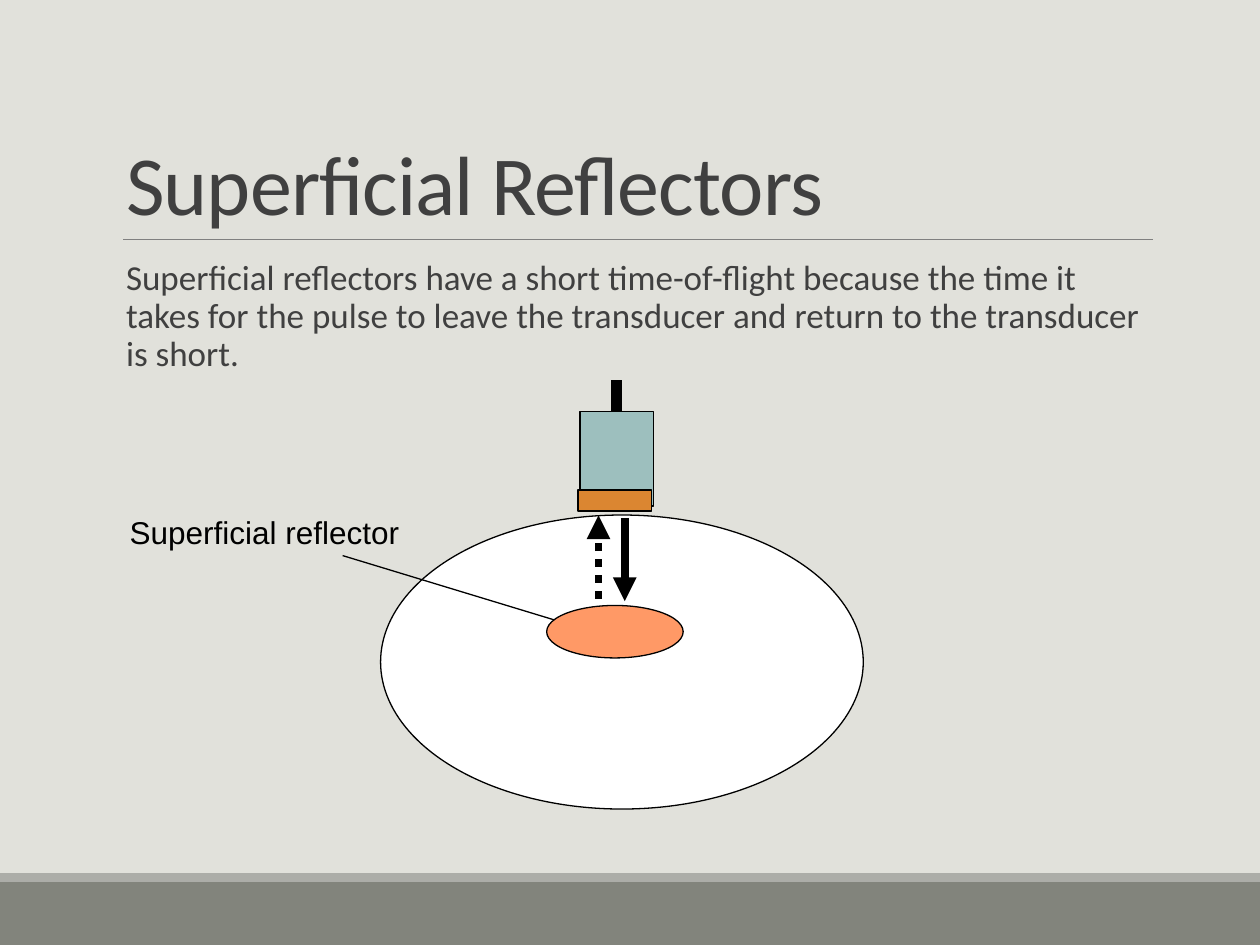
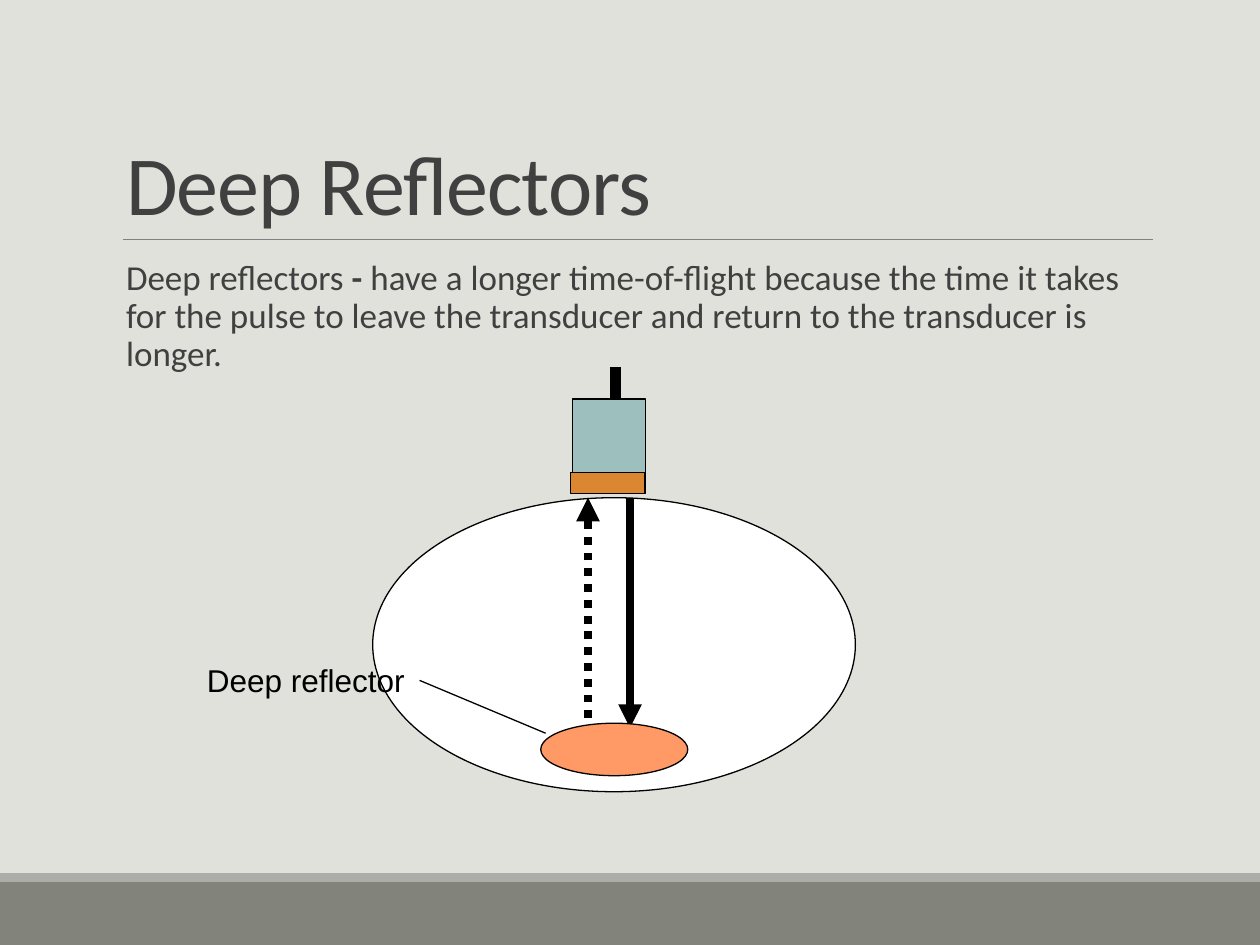
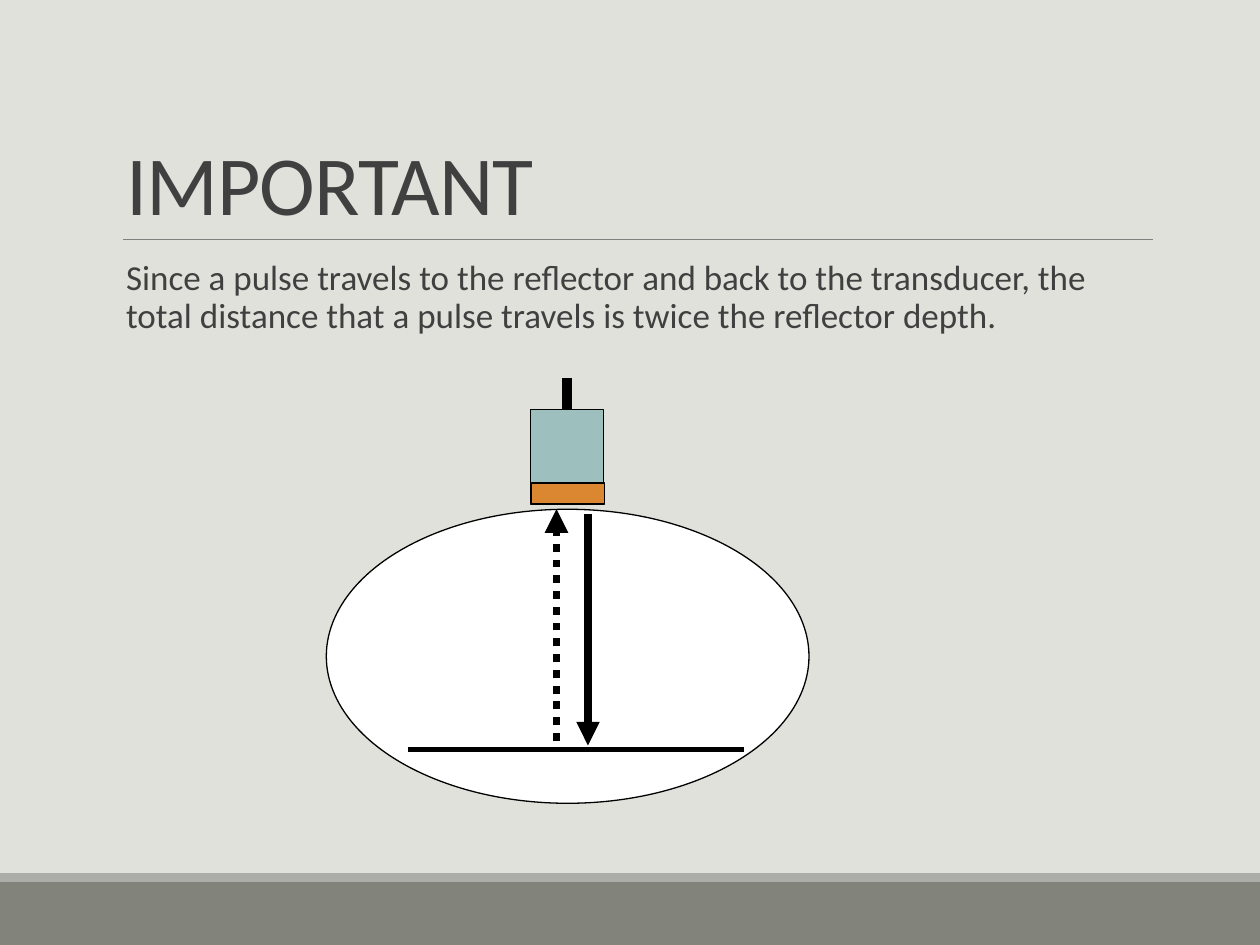
"""Build three slides on ultrasound reflectors and time-of-flight."""
from dataclasses import dataclass

import pptx
import pptx.dml.color
import pptx.enum.dml
import pptx.enum.shapes
import pptx.enum.text
import pptx.oxml.ns
import pptx.util
from lxml import etree

Pt = pptx.util.Pt
Shapes = pptx.enum.shapes.MSO_SHAPE
Anchor = pptx.enum.text.MSO_ANCHOR
AutoSize = pptx.enum.text.MSO_AUTO_SIZE


@dataclass(frozen=True)
class Theme:
    """Colours, fonts and sizes of the presentation."""
    background: str = "E1E1DB"
    band: str = "82847C"
    band_edge: str = "ACADA8"
    rule: str = "808080"
    text: str = "404040"
    ink: str = "000000"
    body_outline: str = "FFFFFF"
    transducer: str = "9DBFBE"
    crystal: str = "DB8631"
    reflector: str = "FF9966"
    text_font: str = "Calibri"
    label_font: str = "Arial"
    title_size: float = 48
    body_size: float = 20
    label_size: float = 18
    thin: float = 0.75
    beam: float = 4.5
    cable: float = 6
    floor: float = 3


def colour(value):
    """Return a colour from its hexadecimal value."""
    return pptx.dml.color.RGBColor.from_string(value)


def write(paragraph, text, size, font, ink, bold=False, spacing=None):
    """Add a formatted run to a paragraph."""
    run = paragraph.add_run()
    run.text = text
    run.font.size = Pt(size)
    run.font.name = font
    run.font.bold = bold
    run.font.color.rgb = colour(ink)
    if spacing is not None:
        run.font._element.set("spc", str(int(spacing * 100)))


def place(shape, left, top, width, height):
    """Move and size a shape."""
    shape.left, shape.top, shape.width, shape.height = map(Pt, (left, top, width, height))


class Deck:
    """Hold the theme, the presentation and the current slide."""

    def __init__(self, theme):
        """Start an empty presentation with its shared background."""
        self.theme = theme
        self.presentation = pptx.Presentation()
        self.presentation.slide_width = Pt(720)
        self.presentation.slide_height = Pt(540)
        self.layout = self.presentation.slide_layouts[1]
        self.layout.background.fill.solid()
        self.layout.background.fill.fore_color.rgb = colour(theme.background)
        for placeholder in list(self.layout.placeholders):
            if placeholder.placeholder_format.idx >= 10:
                self.layout.shapes.element.remove(placeholder.element)
        self.slide = None

    def add_slide(self, title, body):
        """Add a slide with its title and a body made of (text, bold) runs."""
        self.slide = self.presentation.slides.add_slide(self.layout)
        if len(self.presentation.slides) == 1:
            self.furnish_layout()
        self.title(title)
        self.body(body)

    def furnish_layout(self):
        """Put the bands and the title rule on the layout."""
        theme = self.theme
        parts = [self.shape(Shapes.RECTANGLE, 0, 504, 720, 36, theme.band, outlined=False),
                 self.shape(Shapes.RECTANGLE, 0, 499, 720, 5, theme.band_edge, outlined=False),
                 self.line((70.5, 136.8), (659, 136.8), 0.5, ink=theme.rule)]
        for position, part in enumerate(parts, start=2):
            self.layout.shapes.element.insert(position, part._element)

    def title(self, text):
        """Fill the title placeholder."""
        theme = self.theme
        shape = self.slide.shapes.title
        place(shape, 64.8, 22.3, 594, 114.5)
        frame = shape.text_frame
        frame.auto_size = AutoSize.NONE
        frame.vertical_anchor = Anchor.BOTTOM
        paragraph = frame.paragraphs[0]
        paragraph.alignment = pptx.enum.text.PP_ALIGN.LEFT
        paragraph.line_spacing = 0.85
        write(paragraph, text, theme.title_size, theme.text_font, theme.text, spacing=-0.5)

    def body(self, runs):
        """Fill the body placeholder."""
        theme = self.theme
        shape = self.slide.placeholders[1]
        place(shape, 64.8, 145.4, 594, 316.8)
        frame = shape.text_frame
        frame.auto_size = AutoSize.NONE
        frame.margin_left = frame.margin_right = 0
        paragraph = frame.paragraphs[0]
        properties = paragraph._p.get_or_add_pPr()
        properties.set("marL", str(Pt(7.2)))
        properties.set("indent", "0")
        etree.SubElement(properties, pptx.oxml.ns.qn("a:buNone"))
        paragraph.line_spacing = 0.9
        paragraph.space_before = 0
        paragraph.space_after = Pt(2)
        for text, bold in runs:
            write(paragraph, text, theme.body_size, theme.text_font, theme.text, bold=bold)

    def shape(self, kind, left, top, width, height, fill, outlined=True):
        """Add a filled preset shape."""
        shape = self.slide.shapes.add_shape(kind, *map(Pt, (left, top, width, height)))
        shape.shadow.inherit = False
        shape.fill.solid()
        shape.fill.fore_color.rgb = colour(fill)
        if outlined:
            shape.line.color.rgb = colour(self.theme.ink)
            shape.line.width = Pt(self.theme.thin)
        else:
            shape.line.fill.background()
        return shape

    def line(self, start, end, width, ink=None, arrow=False, dotted=False):
        """Add a straight line, with an arrowhead at its end if asked."""
        connector = self.slide.shapes.add_connector(
            pptx.enum.shapes.MSO_CONNECTOR.STRAIGHT, *map(Pt, (*start, *end)))
        connector.line.color.rgb = colour(ink or self.theme.ink)
        connector.line.width = Pt(width)
        if dotted:
            connector.line.dash_style = pptx.enum.dml.MSO_LINE.ROUND_DOT
        if arrow:
            etree.SubElement(connector.line._get_or_add_ln(),
                             pptx.oxml.ns.qn("a:tailEnd"), type="triangle")
        etree.SubElement(connector._element.spPr, pptx.oxml.ns.qn("a:effectLst"))
        return connector

    def label(self, text, left, top, inset=7.2, wrap=True):
        """Add a label for a reflector."""
        theme = self.theme
        box = self.slide.shapes.add_textbox(*map(Pt, (left, top, 168.5, 28.8)))
        frame = box.text_frame
        frame.word_wrap = wrap
        frame.auto_size = AutoSize.SHAPE_TO_FIT_TEXT
        frame.margin_left = Pt(inset)
        write(frame.paragraphs[0], text, theme.label_size, theme.label_font, theme.ink)

    def tissue(self, left, top):
        """Add the large ellipse that the pulse enters."""
        self.shape(Shapes.OVAL, left, top, 275.8, 168, self.theme.body_outline)

    def transducer(self, housing, crystal, cable_shift=0):
        """Add the transducer, its crystal and its cable."""
        theme = self.theme
        left, top = housing
        box = self.shape(Shapes.RECTANGLE, left, top, 42, 54, theme.transducer)
        self.shape(Shapes.RECTANGLE, *crystal, 42, 12, theme.crystal)
        cable_x = left + 21 + cable_shift
        cable = self.line((cable_x, top), (cable_x, top - 18), theme.cable)
        if not cable_shift:
            cable.begin_connect(box, 0)

    def pulse(self, sent_x, sent, echo_x, echo):
        """Add the solid sent arrow and the dotted echo arrow."""
        beam = self.theme.beam
        self.line((sent_x, sent[0]), (sent_x, sent[1]), beam, arrow=True)
        self.line((echo_x, echo[0]), (echo_x, echo[1]), beam, arrow=True, dotted=True)

    def reflector(self, left, top, width, pointer):
        """Add a reflector and the line to its label."""
        self.line(*pointer, self.theme.thin)
        self.shape(Shapes.OVAL, left, top, width, 30, self.theme.reflector)


def main():
    """Build and save the slides."""
    deck = Deck(Theme())

    deck.add_slide("Superficial Reflectors", [
        ("Superficial reflectors have a short time-of-flight because the time it takes for "
         "the pulse to leave the transducer and return to the transducer is short.", False)])
    deck.tissue(217.5, 294.3)
    deck.transducer((331.4, 235.2), (330.3, 280))
    deck.pulse(357, (295.9, 343.5), 342, (342, 294.5))
    deck.label("Superficial reflector", 67, 289.4, wrap=False)
    deck.reflector(312.4, 346, 78, ((333.4, 359.3), (195.8, 317.5)))

    deck.add_slide("Deep Reflectors", [
        ("Deep reflectors", False), (" -", True),
        (" have a longer time-of-flight because the time it takes for the pulse to leave "
         "the transducer and return to the transducer is longer.", False)])
    deck.tissue(213, 284.4)
    deck.transducer((327, 228), (326.2, 270), cable_shift=3.6)
    deck.pulse(360, (284.4, 416), 336, (410.4, 284.4))
    deck.label("Deep reflector", 71.3, 374.4, inset=47)
    deck.reflector(309, 413.3, 84, ((311.8, 419), (239.8, 388.8)))

    deck.add_slide("IMPORTANT", [
        ("Since a pulse travels to the reflector and back to the transducer, the total "
         "distance that a pulse travels is twice the reflector depth.", False)])
    deck.tissue(186.5, 291)
    deck.transducer((303, 234), (303.6, 276))
    deck.pulse(336, (293.8, 426), 318, (423.4, 291))
    deck.line((233, 428.4), (425, 428.4), deck.theme.floor)

    deck.presentation.save("out.pptx")


if __name__ == "__main__":
    main()
